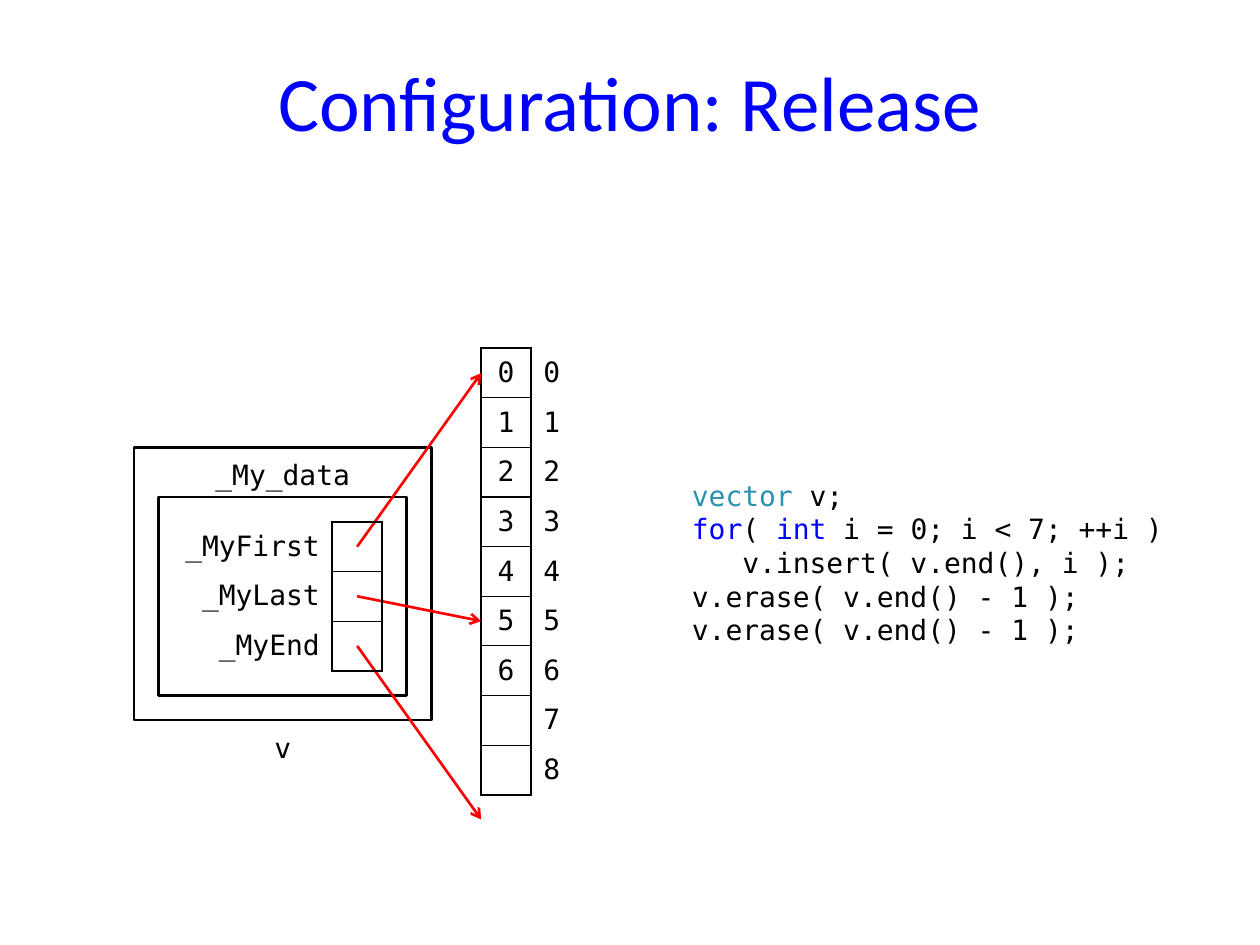
from lxml import etree
from pptx import Presentation, util as u
from pptx.dml.color import RGBColor
from pptx.enum import shapes, text
from pptx.oxml import ns

PX = 3600
UNIT = 100
THEME = dict(
    title="0000FF", code="000000", keyword="0000FF", type="2B91AF",
    line="000000", arrow="FF0000", fill="FFFFFF",
    sans="Calibri", mono="DejaVu Sans Mono",
    title_size=44, size=16, thick=1.5, thin=0.75,
)
LEFT, CENTER, RIGHT = text.PP_ALIGN.LEFT, text.PP_ALIGN.CENTER, text.PP_ALIGN.RIGHT
TOP, MIDDLE, BOTTOM = text.MSO_ANCHOR.TOP, text.MSO_ANCHOR.MIDDLE, text.MSO_ANCHOR.BOTTOM
NO_STYLE = "{2D5ABB26-0587-4C30-8999-92F81FD0307C}"

TITLE = "Configuration: Release"
CODE = [
    [("vector ", "type"), ("v;", "code")],
    [("for", "keyword"), ("( ", "code"), ("int", "keyword"), (" i = 0; i < 7; ++i )", "code")],
    [("   v.insert( v.end(), i );", "code")],
    [("v.erase( v.end() - 1 );", "code")],
    [("v.erase( v.end() - 1 );", "code")],
]
VALUES = ["0", "1", "2", "3", "4", "5", "6", "", ""]
POINTERS = [("_MyFirst", 0), ("_MyLast", 5), ("_MyEnd", 9)]
LABELS = [("_My_data", (370, 902, 400, 100)), ("v", (420, 1452, 300, 100))]
OUTER = (270, 902, 600, 550)
INNER = (320, 1002, 500, 400)
MEMORY = (970, 702)
FIELDS = (320, 1052)
NAME_W = 350


def emu(*px):
    return [u.Emu(v * PX) for v in px]


def apply(obj, **values):
    for name, value in values.items():
        setattr(obj, name, value)


def add_run(p, words, color="code", font="mono", size="size"):
    r = p.add_run()
    r.text = words
    apply(r.font, name=THEME[font], size=u.Pt(THEME[size]))
    r.font.color.rgb = RGBColor.from_string(THEME[color])


def add_text(s, box, lines, align=CENTER, anchor=BOTTOM, **font):
    tf = s.shapes.add_textbox(*emu(*box)).text_frame
    apply(tf, word_wrap=True, vertical_anchor=anchor, margin_right=0 if align == LEFT else u.Inches(0.1))
    for i, line in enumerate(lines):
        p = tf.add_paragraph() if i else tf.paragraphs[0]
        p.alignment = align
        for words, color in line:
            add_run(p, words, color, **font)


def add_frame(s, box):
    sp = s.shapes.add_shape(shapes.MSO_SHAPE.RECTANGLE, *emu(*box))
    sp.shadow.inherit = False
    sp.fill.solid()
    sp.fill.fore_color.rgb = RGBColor.from_string(THEME["fill"])
    sp.line.color.rgb = RGBColor.from_string(THEME["line"])
    sp.line.width = u.Pt(THEME["thick"])


def add_arrow(s, start, end):
    c = s.shapes.add_connector(shapes.MSO_CONNECTOR.STRAIGHT, *emu(*start, *end))
    c.line.color.rgb = RGBColor.from_string(THEME["arrow"])
    c.line.width = u.Pt(THEME["thick"])
    etree.SubElement(c.line._get_or_add_ln(), ns.qn("a:tailEnd"), type="arrow")
    etree.SubElement(c._element.spPr, ns.qn("a:effectLst"))


def add_borders(cell, first, last):
    weights = dict(L="thick", R="thick", T="thick" if first else "thin", B="thick" if last else "thin")
    for side, weight in weights.items():
        ln = etree.SubElement(cell._tc.get_or_add_tcPr(), ns.qn("a:ln" + side), w=str(u.Pt(THEME[weight])))
        fill = etree.SubElement(ln, ns.qn("a:solidFill"))
        etree.SubElement(fill, ns.qn("a:srgbClr"), val=THEME["line"])


def add_cells(s, origin, widths, rows, aligns, boxed, left_margin):
    size = (sum(widths), UNIT * len(rows))
    table = s.shapes.add_table(len(rows), len(widths), *emu(*origin, *size)).table
    apply(table, first_row=False, horz_banding=False)
    table._tbl.tblPr.find(ns.qn("a:tableStyleId")).text = NO_STYLE
    for col, width in zip(table.columns, emu(*widths)):
        col.width = width
    for i, row in enumerate(rows):
        table.rows[i].height = u.Emu(UNIT * PX)
        for j, words in enumerate(row):
            cell = table.cell(i, j)
            apply(cell, vertical_anchor=MIDDLE, margin_left=u.Inches(left_margin),
                  margin_right=u.Inches(0.1), margin_top=u.Inches(0.04), margin_bottom=u.Inches(0.04))
            p = cell.text_frame.paragraphs[0]
            p.alignment = aligns[j]
            add_run(p, words)
            if j == boxed:
                add_borders(cell, i == 0, i == len(rows) - 1)
            cell.fill.background()


def main():
    prs = Presentation()
    prs.slide_width, prs.slide_height = emu(2540, 1905)
    s = prs.slides.add_slide(prs.slide_layouts[6])

    add_text(s, (70, 54, 2400, 300), [[(TITLE, "title")]], anchor=MIDDLE, font="sans", size="title_size")
    add_text(s, (1370, 952, 1000, 400), CODE, align=LEFT, anchor=TOP)
    add_frame(s, OUTER)
    memory = [(value, str(i)) for i, value in enumerate(VALUES)]
    add_cells(s, MEMORY, [UNIT, UNIT], memory, [CENTER, LEFT], 0, 0.1)
    add_frame(s, INNER)
    half = UNIT // 2
    for i, (_, slot) in enumerate(POINTERS):
        start = (FIELDS[0] + NAME_W + half, FIELDS[1] + i * UNIT + half)
        add_arrow(s, start, (MEMORY[0], MEMORY[1] + slot * UNIT + half))
    fields = [(name, "") for name, _ in POINTERS]
    add_cells(s, FIELDS, [NAME_W, UNIT], fields, [RIGHT, LEFT], 1, 0.04)
    for words, box in LABELS:
        add_text(s, box, [[(words, "code")]])
    prs.save("out.pptx")


if __name__ == "__main__":
    main()
